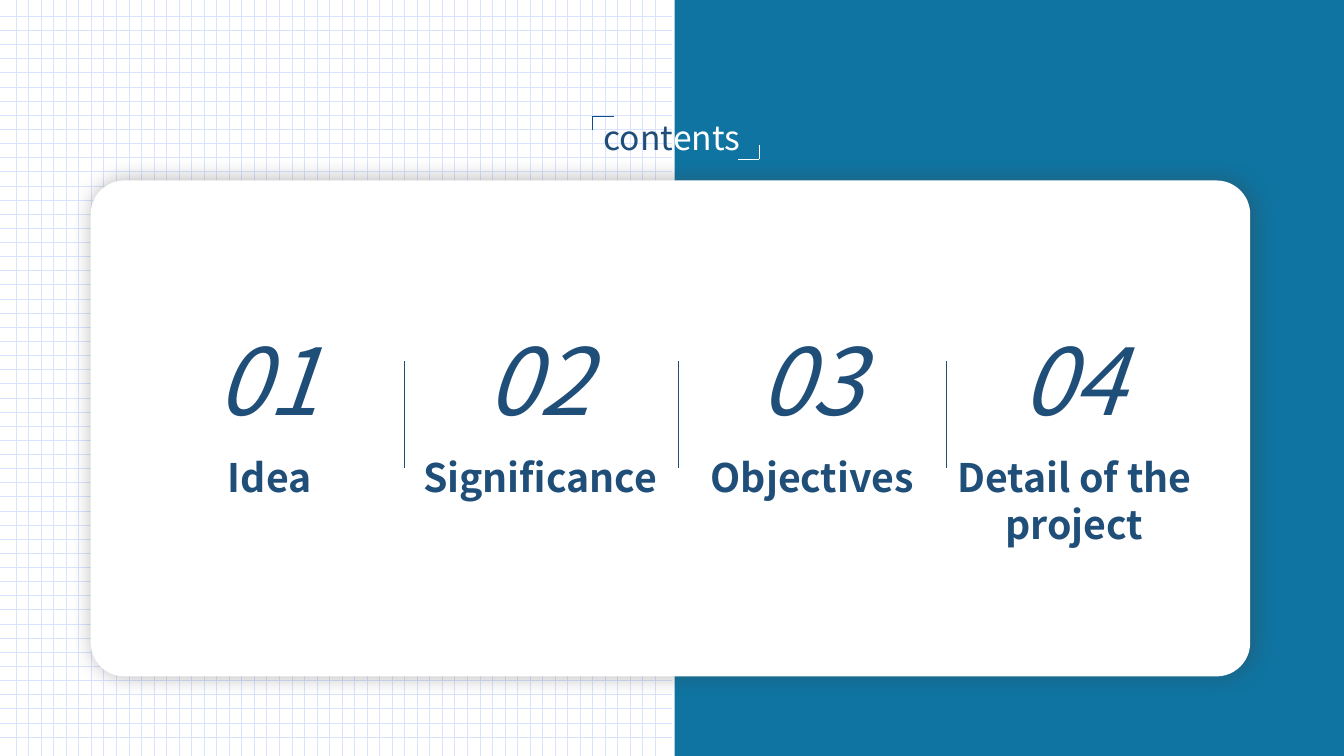
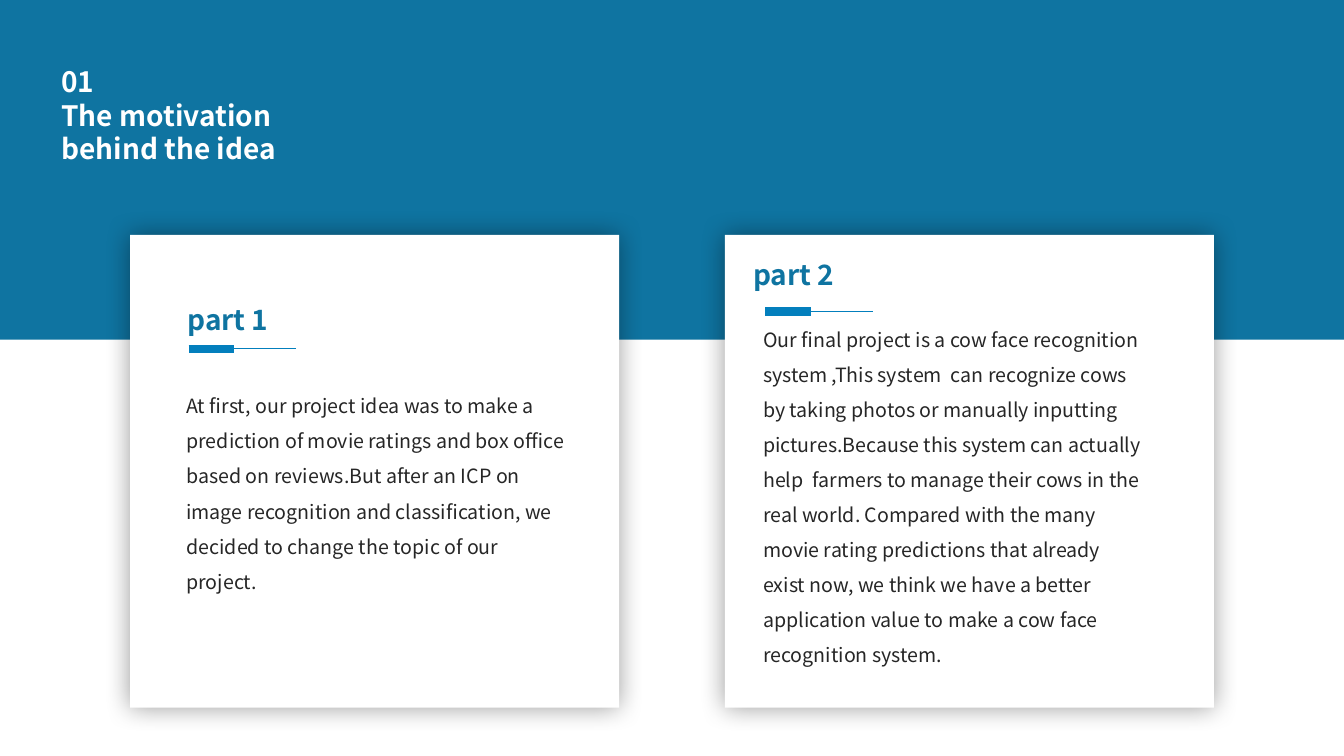
from dataclasses import dataclass

from lxml import etree
from pptx import Presentation
from pptx.dml.color import RGBColor
from pptx.enum.shapes import MSO_CONNECTOR, MSO_SHAPE
from pptx.enum.text import MSO_AUTO_SIZE, PP_ALIGN
from pptx.oxml.ns import qn
from pptx.util import Inches, Pt

LINE = MSO_CONNECTOR.STRAIGHT
RECT, ROUND = MSO_SHAPE.RECTANGLE, MSO_SHAPE.ROUNDED_RECTANGLE
LEFT, CENTER = PP_ALIGN.LEFT, PP_ALIGN.CENTER
FIT = MSO_AUTO_SIZE.SHAPE_TO_FIT_TEXT


@dataclass(frozen=True)
class Theme:
    font: str = "Noto Sans CJK SC"
    band: str = "0F74A1"
    navy: str = "1F4E79"
    bracket: str = "0D4E81"
    accent: str = "037FBD"
    grid: str = "D9E3FF"
    white: str = "FFFFFF"
    body: str = "262626"
    number_size: int = 66
    label_size: int = 28
    contents_size: int = 24
    title_size: int = 20
    body_size: int = 14
    body_leading: int = 25
    hairline: float = 0.5


T = Theme()
WIDTH, HEIGHT = 13.33, 7.5


def rgb(value):
    return RGBColor.from_string(value)


def add_text(s, box, *paragraphs, size, color=T.navy, bold=False,
             italic=False, align=LEFT, leading=None):
    """Each paragraph is a string or a list of (text, colour) runs."""
    tb = s.shapes.add_textbox(*map(Inches, box))
    tf = tb.text_frame
    tf.word_wrap = True
    tf.auto_size = FIT
    for i, content in enumerate(paragraphs):
        p = tf.paragraphs[0] if i == 0 else tf.add_paragraph()
        p.alignment = align
        if leading:
            p.line_spacing = Pt(leading)
        runs = [(content, color)] if isinstance(content, str) else content
        for text, run_color in runs:
            r = p.add_run()
            r.text = text
            r.font.name = T.font
            r.font.size = Pt(size)
            r.font.bold = bold
            r.font.italic = italic
            r.font.color.rgb = rgb(run_color)
    return tb


def add_line(shapes, x1, y1, x2, y2, color, width=T.hairline):
    line = shapes.add_connector(LINE, *map(Inches, (x1, y1, x2, y2)))
    line.line.color.rgb = rgb(color)
    line.line.width = Pt(width)
    etree.SubElement(line._element.spPr, qn("a:effectLst"))
    return line


def add_panel(s, box, fill, kind=RECT):
    sp = s.shapes.add_shape(kind, *map(Inches, box))
    sp.shadow.inherit = False
    sp.fill.solid()
    sp.fill.fore_color.rgb = rgb(fill)
    sp.line.fill.background()
    return sp


def add_shadow(sp, color, blur, distance=0, alpha=40):
    effects = sp._element.spPr.find(qn("a:effectLst"))
    shadow = etree.SubElement(
        effects, qn("a:outerShdw"), blurRad=str(Pt(blur)),
        dist=str(Pt(distance)), dir="0", algn="ctr", rotWithShape="0")
    clr = etree.SubElement(shadow, qn("a:srgbClr"), val=color)
    etree.SubElement(clr, qn("a:alpha"), val=str(alpha * 1000))


def add_grid(s, width, start=0.16, right=6.5, bottom=7.31, count=52):
    shapes = s.shapes.add_group_shape().shapes
    for i in range(count):
        y = start + i * (bottom - start) / (count - 1)
        add_line(shapes, 0, y, width, y, T.grid, 0.25)
    for i in range(count):
        x = start + i * (right - start) / (count - 1)
        add_line(shapes, x, 0, x, HEIGHT, T.grid)


def add_bracket(s, x, y, direction, color):
    """Corner mark with its arms towards direction (1 or -1)."""
    shapes = s.shapes.add_group_shape().shapes
    add_line(shapes, x, y, x + 0.21 * direction, y, color)
    add_line(shapes, x, y, x, y + 0.14 * direction, color)


def add_rule(s, x, y):
    """Heading underline: a thick start and a thin tail."""
    shapes = s.shapes.add_group_shape().shapes
    add_line(shapes, x, y, x + 0.45, y, T.accent, 6)
    add_line(shapes, x + 0.1, y, x + 1.07, y, T.accent)


def contents_slide(s):
    # Split background and card
    add_grid(s, 6.67)
    add_panel(s, (6.69, 0, 6.67, HEIGHT), T.band)
    card = add_panel(s, (0.9, 1.79, 11.5, 4.92), T.white, ROUND)
    card.adjustments[0] = 0.068
    add_shadow(card, "404040", 15, 2)

    # Heading in two colours between corner marks
    add_text(s, (4.56, 1.11, 4.21, 0.5),
             [("cont", T.navy), ("ents", T.white)],
             size=T.contents_size, align=CENTER)
    add_bracket(s, 5.88, 1.15, 1, T.bracket)
    add_bracket(s, 7.53, 1.58, -1, T.white)

    # Numbered entries
    entries = [(1.02, "Idea"), (3.7, "Significance"),
               (6.4, "Objectives"), (9, "Detail of the project")]
    for number, (x, label) in enumerate(entries, 1):
        add_text(s, (x + 1.03, 3.16, 2.18, 1.21), f"{number:02}",
                 size=T.number_size, italic=True)
        add_text(s, (x, 4.45, 3.31, 0.57), label,
                 size=T.label_size, bold=True, align=CENTER)
    for x in (4.01, 6.73, 9.39):
        add_line(s.shapes, x, 3.58, x, 4.64, T.navy)


def motivation_slide(s):
    # Band, cards and title
    add_panel(s, (0, 0, WIDTH, 3.37), T.band)
    for x in (1.29, 7.19):
        add_shadow(add_panel(s, (x, 2.33, 4.85, 4.69), T.white), "000000", 19)
    add_text(s, (0.51, 0.59, 3.29, 1.11),
             "01", "The motivation behind the idea",
             size=T.title_size, color=T.white, bold=True)

    # Card contents: heading, heading at, rule at, text at, text
    parts = [
        ("part 1", (1.76, 2.95), (1.87, 3.46), (1.75, 3.75, 3.99, 2.2),
         "At first, our project idea was to make a prediction of movie "
         "ratings and box office based on reviews.But after an ICP on image "
         "recognition and classification, we decided to change the topic of "
         "our project."),
        ("part 2", (7.37, 2.51), (7.59, 3.09), (7.47, 3.09, 3.99, 3.61),
         "Our final project is a cow face recognition system ,This system  "
         "can recognize cows by taking photos or manually inputting "
         "pictures.Because this system can actually help  farmers to manage "
         "their cows in the real world. Compared with the many movie rating "
         "predictions that already exist now, we think we have a better "
         "application value to make a cow face recognition system."),
    ]
    for heading, heading_at, rule_at, text_box, text in parts:
        add_text(s, (*heading_at, 3.29, 0.44), heading,
                 size=T.title_size, color=T.band, bold=True)
        add_rule(s, *rule_at)
        add_text(s, text_box, text, size=T.body_size, color=T.body,
                 leading=T.body_leading)


def main():
    prs = Presentation()
    prs.slide_width, prs.slide_height = Inches(WIDTH), Inches(HEIGHT)
    for build in (contents_slide, motivation_slide):
        build(prs.slides.add_slide(prs.slide_layouts[6]))
    prs.save("out.pptx")


if __name__ == "__main__":
    main()
